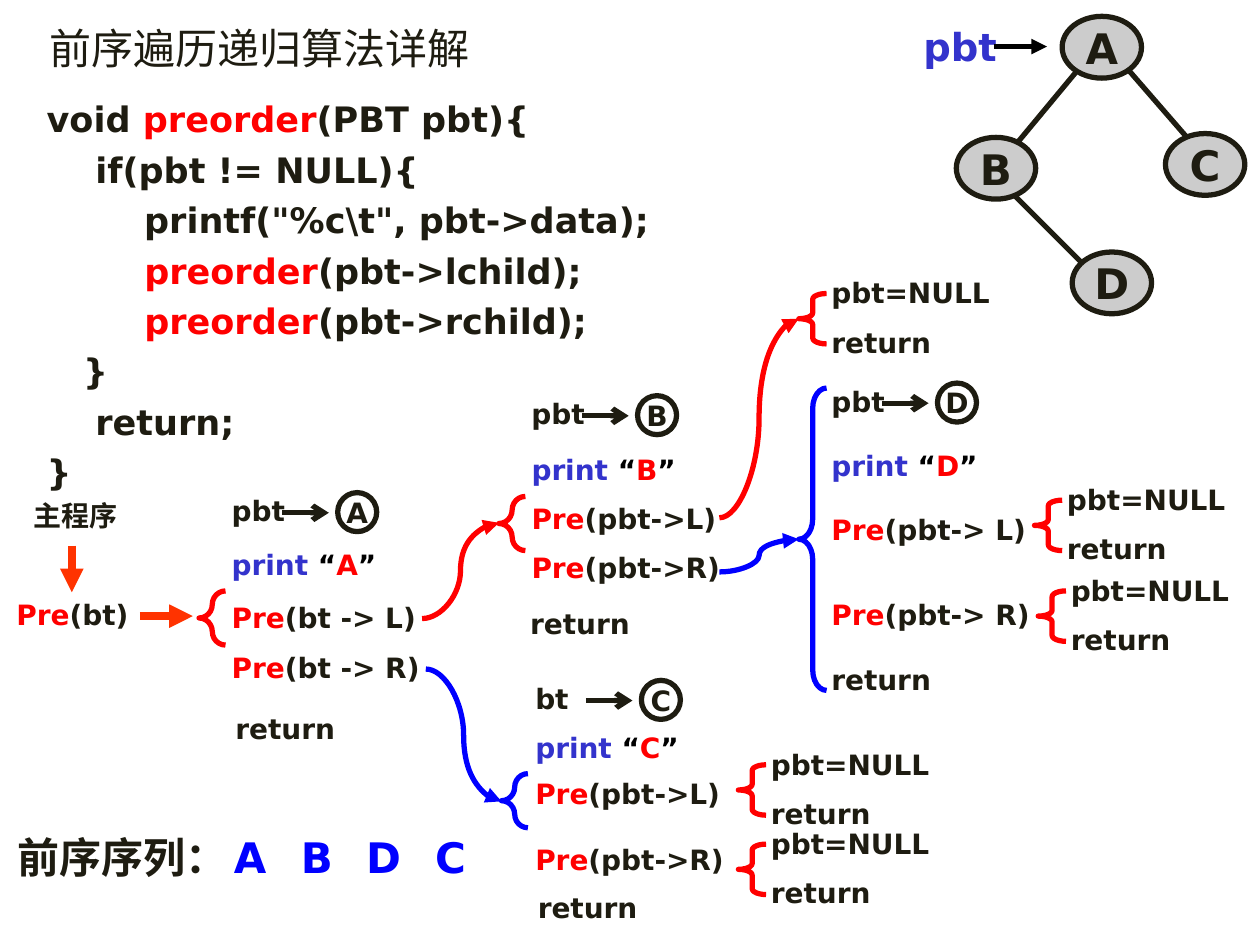
from lxml import etree
from pptx import Presentation
from pptx.dml import color
from pptx.enum import shapes, text
from pptx.oxml import ns
from pptx.util import Inches, Pt

INK, RED, BLUE, PRINT, BLACK = "1E1C11", "FF0000", "0000FF", "3333CC", "000000"
FLAME, GRAY = "FF3300", "CCCCCC"
MID = text.PP_ALIGN.CENTER


def rgb(code):
    return color.RGBColor.from_string(code)


def apply(item, vals):
    for key, val in vals.items():
        setattr(item, key, val)


class Board:
    face = "DejaVu Sans"

    def __init__(self, slide):
        self.slide = slide

    def runs(self, para, parts, size=16, bold=True, face=None):
        for word, tone in parts:
            run = para.add_run()
            run.text = word
            apply(run.font, {"name": face or self.face, "size": Pt(size), "bold": bold})
            run.font.color.rgb = rgb(tone)

    def place(self, shape, box):
        for key, val in zip(("left", "top", "width", "height"), box):
            setattr(shape, key, Inches(val))

    def title(self, box, words):
        shape = self.slide.shapes.title
        self.place(shape, box)
        frame = shape.text_frame
        apply(frame, {"vertical_anchor": text.MSO_ANCHOR.TOP, "word_wrap": True,
                      "auto_size": text.MSO_AUTO_SIZE.NONE})
        para = frame.paragraphs[0]
        apply(para, {"alignment": text.PP_ALIGN.LEFT, "space_before": Pt(0)})
        self.runs(para, [(words, INK)], 24, False, "Arial")

    def code(self, box, lines):
        shape = self.slide.placeholders[1]
        self.place(shape, box)
        frame = shape.text_frame
        apply(frame, {"word_wrap": True, "auto_size": text.MSO_AUTO_SIZE.NONE})
        for num, parts in enumerate(lines):
            para = frame.add_paragraph() if num else frame.paragraphs[0]
            props = para._p.get_or_add_pPr()
            props.set("marL", "0")
            props.set("indent", "0")
            etree.SubElement(props, ns.qn("a:buNone"))
            apply(para, {"line_spacing": 1.2, "space_before": Pt(0)})
            self.runs(para, parts, 20)

    def label(self, box, parts, size=16, align=None, top=0.05, anchor=text.MSO_ANCHOR.TOP):
        frame = self.slide.shapes.add_textbox(*map(Inches, box)).text_frame
        apply(frame, {"word_wrap": True, "margin_top": Inches(top), "vertical_anchor": anchor})
        frame.paragraphs[0].alignment = align
        self.runs(frame.paragraphs[0], parts, size)

    def plain(self, x, y, word, wide=1.57):
        self.label((x, y, wide, 0.47), [(word, INK)], top=0.09)

    def outline(self, kind, box, tone):
        shape = self.slide.shapes.add_shape(kind, *map(Inches, box))
        shape.shadow.inherit = False
        shape.fill.background()
        shape.line.color.rgb = rgb(tone)
        shape.line.width = Pt(3)
        return shape

    def node(self, box, word, size=16, fill=None):
        shape = self.outline(shapes.MSO_SHAPE.OVAL, box, INK)
        if fill:
            shape.fill.solid()
            shape.fill.fore_color.rgb = rgb(fill)
        frame = shape.text_frame
        apply(frame, {"word_wrap": False, "vertical_anchor": text.MSO_ANCHOR.MIDDLE})
        frame.paragraphs[0].alignment = MID
        self.runs(frame.paragraphs[0], [(word, INK)], size)

    def brace(self, box, bend, tone=RED):
        shape = self.outline(shapes.MSO_SHAPE.LEFT_BRACE, box, tone)
        shape.adjustments[0] = bend

    def line(self, ends, tone=INK, head=None, width=3, curve=False):
        kind = shapes.MSO_CONNECTOR.CURVE if curve else shapes.MSO_CONNECTOR.STRAIGHT
        link = self.slide.shapes.add_connector(kind, *map(Inches, ends))
        link.line.color.rgb = rgb(tone)
        link.line.width = Pt(width)
        if head:
            tail = etree.SubElement(link.line._get_or_add_ln(), ns.qn("a:tailEnd"))
            tail.set("type", head)
        etree.SubElement(link._element.spPr, ns.qn("a:effectLst"))

    def frame(self, x, y, name, word, rows, end):
        self.plain(x, y, name, 0.63)
        self.node((x + 0.94, y + 0.08, 0.31, 0.31), word)
        self.line((x + 0.5, y + 0.24, x + 0.87, y + 0.24), head="arrow")
        show = [("print", PRINT), (" “", BLACK), (word, RED), ("”", BLACK)]
        calls = [[("Pre", RED), (args, INK)] for _, args in rows[1:]]
        for (top, _), parts in zip(rows, [show] + calls):
            self.label((x, top, 1.89, 0.39), parts)
        self.plain(*end, "return")

    def null(self, x, y):
        self.brace((x - 0.16, y + 0.23, 0.22, 0.4), 0.21)
        self.plain(x, y, "pbt=NULL")
        self.plain(x, y + 0.39, "return")


def main():
    deck = Presentation()
    deck.slide_width, deck.slide_height = Inches(10), Inches(7.5)
    board = Board(deck.slides.add_slide(deck.slide_layouts[1]))

    board.title((0.29, 0.13, 4.24, 0.55), "前序遍历递归算法详解")
    board.code((0.27, 0.66, 5.69, 3.24), [
        [("void ", INK), ("preorder", RED), ("(PBT pbt){", INK)],
        [("    if(pbt != NULL){", INK)],
        [('        printf("%c\\t", pbt->data);', INK)],
        [("        ", INK), ("preorder", RED), ("(pbt->lchild);", INK)],
        [("        ", INK), ("preorder", RED), ("(pbt->rchild);", INK)],
        [("   }", INK)],
        [("    return;", INK)],
        [("}", INK)],
    ])

    for ends in ((8.55, 0.56, 8.06, 1.15), (8.96, 0.56, 9.42, 1.09), (8.06, 1.56, 8.58, 2.08)):
        board.line(ends)
    for word, x, y in (("A", 8.43, 0.13), ("C", 9.25, 1.06), ("B", 7.59, 1.09), ("D", 8.51, 2)):
        board.node((x, y, 0.63, 0.49), word, 24, GRAY)
    board.label((7.23, 0.13, 0.78, 0.47), [("pbt", PRINT)], 22)
    board.line((7.89, 0.37, 8.31, 0.37), BLACK, "triangle")

    board.label((-0.07, 3.91, 1.34, 0.37), [("主程序", INK)], align=MID)
    board.label((-0.12, 4.69, 1.39, 0.37), [("Pre", RED), ("(bt)", INK)], align=MID)
    for ends in ((0.57, 4.33, 0.57, 4.7), (1.11, 4.89, 1.53, 4.89)):
        board.line(ends, FLAME, "triangle", 4.5)

    for item in (
        (1.74, 3.83, "pbt", "A", [(4.3, ""), (4.72, "(bt -> L)"), (5.11, "(bt -> R)")], (1.77, 5.56)),
        (4.12, 3.06, "pbt", "B", [(3.54, ""), (3.93, "(pbt->L)"), (4.32, "(pbt->R)")], (4.11, 4.72)),
        (4.15, 5.32, "bt", "C", [(5.75, ""), (6.11, "(pbt->L)"), (6.64, "(pbt->R)")], (4.17, 6.98)),
        (6.5, 2.96, "pbt", "D", [(3.51, ""), (4.02, "(pbt-> L)"), (4.69, "(pbt-> R)")], (6.5, 5.17)),
    ):
        board.frame(*item)

    for spot in ((6.5, 2.1), (8.37, 3.74), (8.4, 4.46), (6.02, 5.84), (6.02, 6.47)):
        board.null(*spot)

    board.brace((1.58, 4.69, 0.21, 0.43), 0.76)
    board.brace((3.96, 3.94, 0.21, 0.43), 0.61)
    board.brace((3.98, 6.14, 0.21, 0.43), 0.61, BLUE)
    board.brace((6.34, 3.08, 0.22, 2.4), 0.73, BLUE)
    for ends, tone in (
        ((3.35, 4.91, 3.96, 4.15), RED),
        ((3.38, 5.31, 3.98, 6.36), BLUE),
        ((5.71, 4.11, 6.34, 2.53), RED),
        ((5.71, 4.54, 6.34, 4.28), BLUE),
    ):
        board.line(ends, tone, "triangle", curve=True)

    board.label((0.04, 6.5, 2.18, 0.59), [("前序序列：", INK)], 24, anchor=text.MSO_ANCHOR.MIDDLE)
    for num, word in enumerate("ABDC"):
        board.label((1.69 + num * 0.53, 6.55, 0.59, 0.59), [(word, BLUE)], 24, MID)

    deck.save("out.pptx")


if __name__ == "__main__":
    main()
